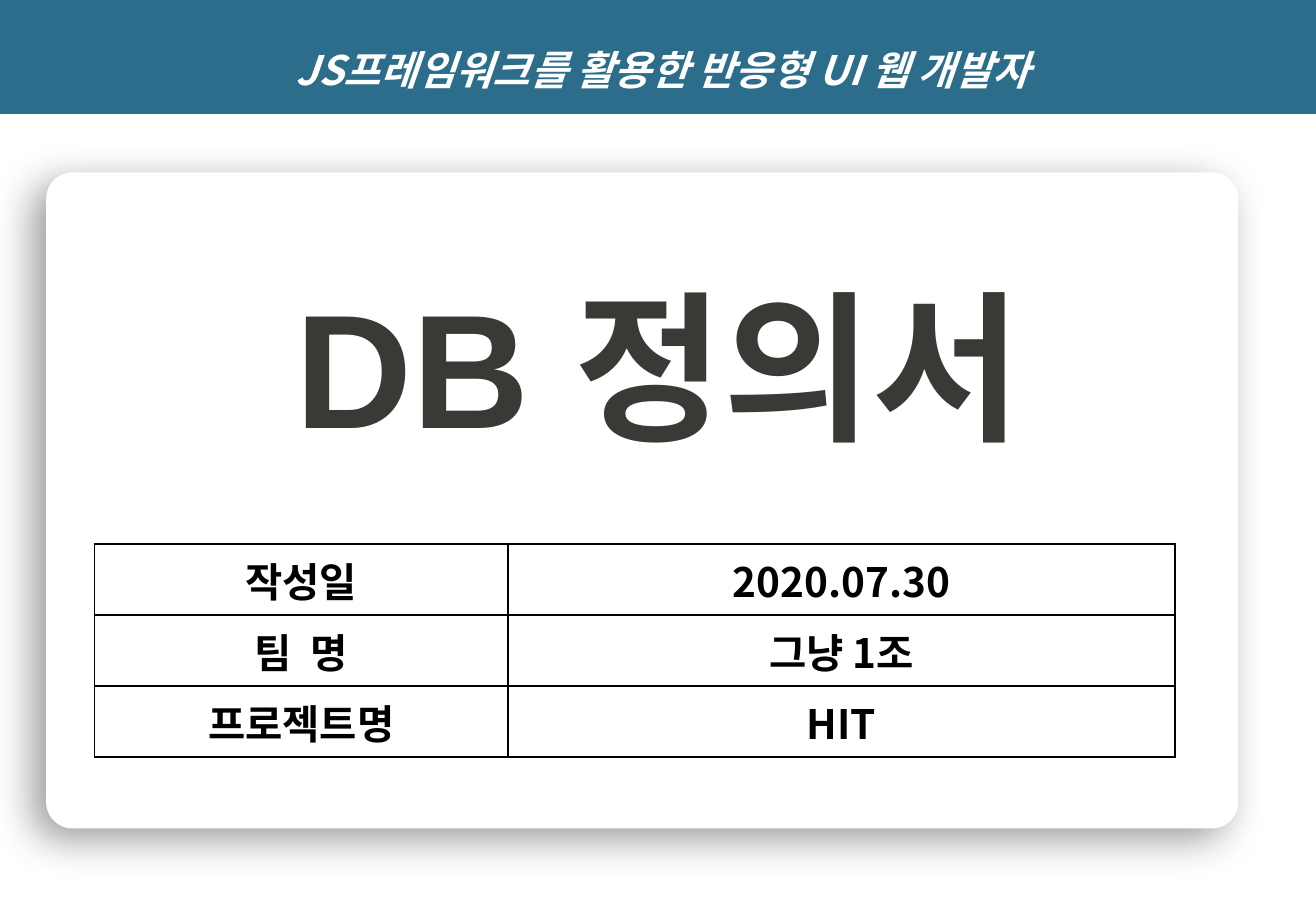
from lxml import etree
from pptx import Presentation
from pptx import util as u
from pptx.dml.color import RGBColor
from pptx.enum import shapes, text
from pptx.oxml import parse_xml
from pptx.oxml.ns import nsdecls, qn

COURSE = " JS프레임워크를 활용한 반응형 UI 웹 개발자"
TITLE = "DB 정의서"
DETAILS = [
    ("작성일", "2020.07.30"),
    ("팀  명", "그냥 1조"),
    ("프로젝트명", "HIT"),
]
COLORS = {"band": "2C6D8B", "paper": "FFFFFF", "title": "3A3935", "ink": "000000"}
KOREAN = "Noto Sans CJK KR"
FORMATS = {
    "course": {"name": KOREAN, "size": u.Pt(24), "bold": True, "italic": True},
    "title": {"name": "Arial", "size": u.Pt(96), "bold": True},
    "detail": {"name": KOREAN, "size": u.Pt(24), "bold": True},
}
WIDTH, HEIGHT = 10.83, 7.5
BAND_HEIGHT = HEIGHT / 8
CARD = (0.38, 1.42, 9.81, 5.4)
TITLE_AREA = (1.74, 1.84, 7.36, 1.5)
DETAIL_LEFT, DETAIL_TOP, ROW_HEIGHT = 0.78, 4.48, 0.58
DETAIL_COLUMNS = (3.4, 5.49)


def inches(*lengths):
    """Turn plain numbers into inch lengths."""
    return [u.Inches(length) for length in lengths]


def write(frame, words, style, color, spacing=1.0):
    """Put one centred, formatted line into a text frame."""
    frame.word_wrap = True
    frame.vertical_anchor = text.MSO_ANCHOR.MIDDLE
    line = frame.paragraphs[0]
    line.alignment = text.PP_ALIGN.CENTER
    line.line_spacing = spacing
    run = line.add_run()
    run.text = words
    for key, value in FORMATS[style].items():
        setattr(run.font, key, value)
    run.font.color.rgb = RGBColor.from_string(COLORS[color])
    east_asian = etree.Element(qn("a:ea"), typeface=FORMATS[style]["name"])
    run.font._element.find(qn("a:latin")).addnext(east_asian)


def add_panel(kind, area, color):
    """Add a filled shape without outline or shadow."""
    panel = slide.shapes.add_shape(kind, *inches(*area))
    panel.shadow.inherit = False
    panel.fill.solid()
    panel.fill.fore_color.rgb = RGBColor.from_string(COLORS[color])
    panel.line.fill.background()
    return panel


def cast_shadow(panel, blur, distance, angle, opacity):
    """Give a panel a soft outer shadow; lengths in points."""
    panel._element.spPr.find(qn("a:effectLst")).append(parse_xml(
        f'<a:outerShdw {nsdecls("a")} blurRad="{u.Pt(blur)}" dist="{u.Pt(distance)}" '
        f'dir="{angle * 60000}" algn="tr" rotWithShape="0"><a:srgbClr val="{COLORS["ink"]}">'
        f'<a:alpha val="{opacity * 1000}"/></a:srgbClr></a:outerShdw>'))


def frame_cell(cell):
    """Draw a one-point border on all four sides of a cell."""
    properties = cell._tc.get_or_add_tcPr()
    for index, side in enumerate("LRTB"):
        properties.insert(index, parse_xml(
            f'<a:ln{side} {nsdecls("a")} w="{u.Pt(1)}"><a:solidFill>'
            f'<a:srgbClr val="{COLORS["ink"]}"/></a:solidFill></a:ln{side}>'))


def add_details():
    """Add the table of document details."""
    area = (DETAIL_LEFT, DETAIL_TOP, sum(DETAIL_COLUMNS), ROW_HEIGHT * len(DETAILS))
    table = slide.shapes.add_table(
        len(DETAILS), len(DETAIL_COLUMNS), *inches(*area)).table
    table.first_row = table.horz_banding = False
    for column, width in zip(table.columns, DETAIL_COLUMNS):
        column.width = u.Inches(width)
    for row, entries in enumerate(DETAILS):
        table.rows[row].height = u.Inches(ROW_HEIGHT)
        for column, words in enumerate(entries):
            cell = table.cell(row, column)
            cell.fill.background()
            write(cell.text_frame, words, "detail", "ink")
            cell.vertical_anchor = text.MSO_ANCHOR.MIDDLE
            frame_cell(cell)


deck = Presentation()
deck.slide_width, deck.slide_height = inches(WIDTH, HEIGHT)
slide = deck.slides.add_slide(deck.slide_layouts[5])

band = add_panel(shapes.MSO_SHAPE.RECTANGLE, (0, 0, WIDTH, BAND_HEIGHT), "band")
write(band.text_frame, COURSE, "course", "paper", 1.5)

card = add_panel(shapes.MSO_SHAPE.ROUNDED_RECTANGLE, CARD, "paper")
card.adjustments[0] = 0.04
cast_shadow(card, blur=24, distance=10, angle=135, opacity=40)

title = slide.shapes.title
title.left, title.top, title.width, title.height = inches(*TITLE_AREA)
title.text_frame.auto_size = text.MSO_AUTO_SIZE.NONE
write(title.text_frame, TITLE, "title", "title", 1.5)
card._element.addnext(title._element)

add_details()
deck.save("out.pptx")
